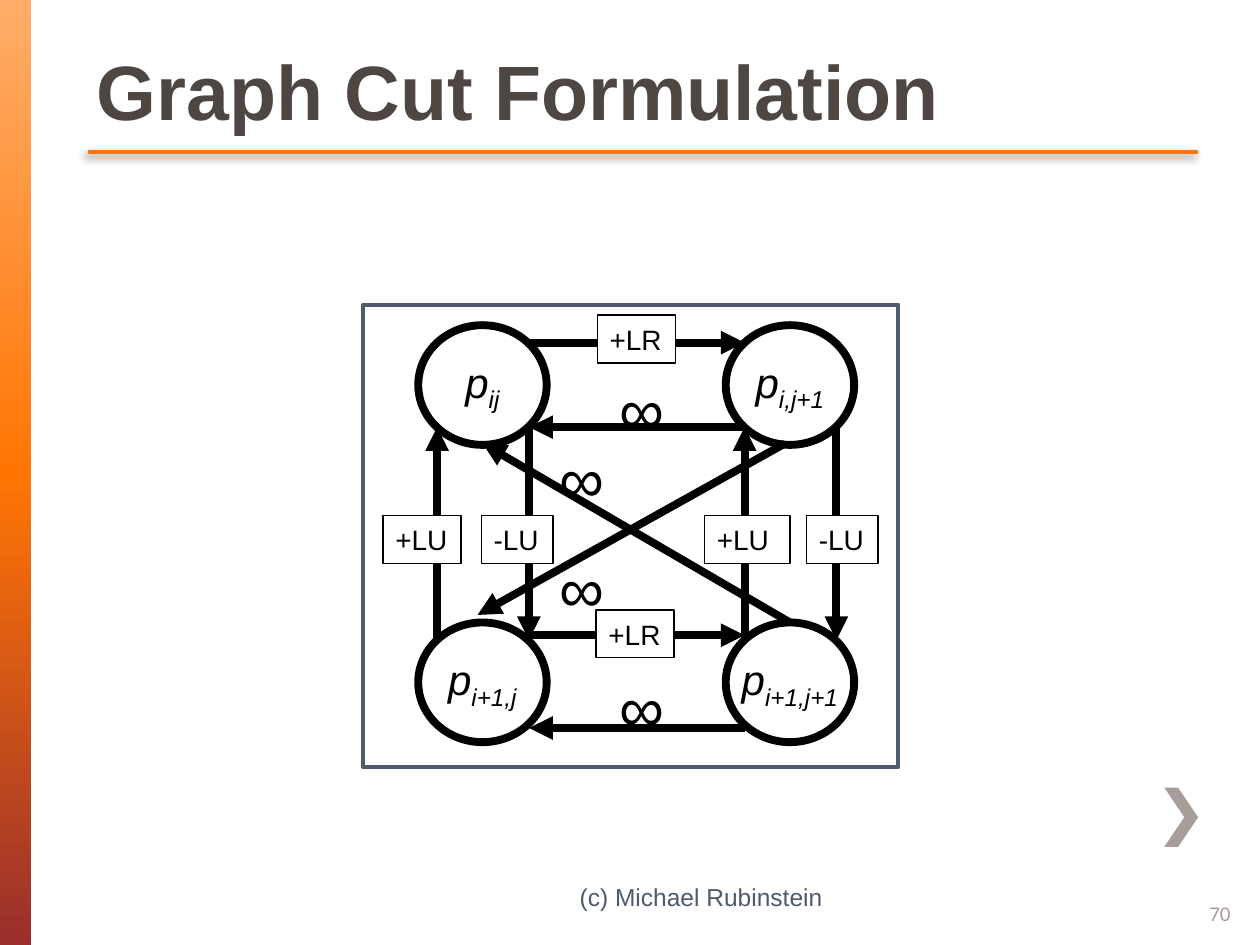
from copy import deepcopy
from lxml.etree import SubElement
from pptx import Presentation
from pptx.dml.color import RGBColor
from pptx.enum.shapes import MSO_CONNECTOR, MSO_SHAPE
from pptx.enum.text import MSO_ANCHOR, PP_ALIGN
from pptx.oxml.ns import qn
from pptx.util import Pt

BLACK = RGBColor(0x00, 0x00, 0x00)
WHITE = RGBColor(0xFF, 0xFF, 0xFF)
PEACH = RGBColor(0xFF, 0xAD, 0x69)
ORANGE = RGBColor(0xFF, 0x76, 0x05)
RUST = RGBColor(0x9A, 0x2F, 0x2C)
TAUPE = RGBColor(0xA7, 0x9D, 0x99)
BROWN = RGBColor(0x4D, 0x46, 0x43)
EDGE = RGBColor(0x67, 0x5D, 0x59)
SLATE = RGBColor(0x4D, 0x5B, 0x6B)

HEAD = {"size": Pt(44), "name": "Arial", "bold": True}
FOOT = {"size": Pt(14), "name": "Arial"}
PAGE = {"size": Pt(12), "name": "Calibri"}
NODE = {"size": Pt(24), "name": "Arial", "italic": True}
TAG = {"size": Pt(16), "name": "Arial"}
SIGN = {"size": Pt(36), "name": "Arial"}


class Painter:
    def __init__(self, slide):
        self.slide = slide
        self.shapes = slide.shapes

    def label(self, shape, text, form, color=BLACK, align=PP_ALIGN.CENTER,
              anchor=MSO_ANCHOR.MIDDLE, wrap=False):
        frame = shape.text_frame
        frame.word_wrap = wrap
        frame.vertical_anchor = anchor
        para = frame.paragraphs[0]
        para.alignment = align
        return self.piece(para, text, form, color)

    def piece(self, para, text, form, color):
        run = para.add_run()
        run.text = text
        for key, value in form.items():
            setattr(run.font, key, value)
        run.font.color.rgb = color
        return run

    def title(self, text, box):
        shape = self.shapes.title
        shape.left, shape.top, shape.width, shape.height = map(Pt, box)
        run = self.label(shape, text, HEAD, BROWN, PP_ALIGN.LEFT,
                         MSO_ANCHOR.BOTTOM, True)
        props = run.font._element
        line = SubElement(props, qn("a:ln"), w=str(Pt(1)))
        fill = SubElement(line, qn("a:solidFill"))
        SubElement(fill, qn("a:srgbClr"), val=str(EDGE))
        props.insert(0, line)

    def text(self, text, box, form, **opts):
        shape = self.shapes.add_textbox(*map(Pt, box))
        self.label(shape, text, form, **opts)

    def shape(self, kind, box, fill=None, line=None, width=0):
        shape = self.shapes.add_shape(kind, *map(Pt, box))
        self.paint(shape, fill, line, width)
        return shape

    def paint(self, shape, fill, line, width=0):
        shape.shadow.inherit = False
        for part, color in ((shape.fill, fill), (shape.line.fill, line)):
            if color is None:
                part.background()
            else:
                part.solid()
                part.fore_color.rgb = color
        if width:
            shape.line.width = Pt(width)

    def band(self, box, colors):
        fill = self.shape(MSO_SHAPE.RECTANGLE, box).fill
        fill.gradient()
        fill.gradient_angle = 270
        last = fill.gradient_stops[1]._gs
        last.addprevious(deepcopy(last))
        for place, (stop, color) in enumerate(zip(fill.gradient_stops, colors)):
            stop.position = place / 2
            stop.color.rgb = color

    def mark(self, points, fill):
        build = self.shapes.build_freeform(*map(Pt, points[0]))
        build.add_line_segments([tuple(map(Pt, spot)) for spot in points[1:]])
        self.paint(build.convert_to_shape(), fill, None)

    def line(self, start, end, color, width):
        line = self.shapes.add_connector(
            MSO_CONNECTOR.STRAIGHT, *map(Pt, start + end))
        line.line.color.rgb = color
        line.line.width = Pt(width)
        effect = SubElement(line._element.spPr, qn("a:effectLst"))
        return line, effect

    def rule(self, start, end):
        effect = self.line(start, end, ORANGE, 2.5)[1]
        shade = SubElement(effect, qn("a:outerShdw"), blurRad=str(Pt(5)),
                           dist=str(Pt(3)), dir=str(135 * 60000))
        tint = SubElement(shade, qn("a:srgbClr"), val=str(BLACK))
        SubElement(tint, qn("a:alpha"), val="45000")

    def arrow(self, start, end):
        line = self.line(start, end, BLACK, 4.5)[0]
        stroke = line._element.spPr.find(qn("a:ln"))
        SubElement(stroke, qn("a:tailEnd"), type="triangle")

    def node(self, sub, left, top):
        shape = self.shape(MSO_SHAPE.OVAL, (left, top, 73.4, 68.4),
                           None, BLACK, 4.5)
        self.label(shape, "p", NODE)
        run = self.piece(shape.text_frame.paragraphs[0], sub, NODE, BLACK)
        run.font._element.set("baseline", "-25000")

    def tag(self, text, left, top, width):
        shape = self.shape(MSO_SHAPE.RECTANGLE, (left, top, width, 27.4),
                           WHITE, BLACK, 0.75)
        self.label(shape, text, TAG, align=PP_ALIGN.LEFT)


def main():
    deck = Presentation()
    deck.slide_width, deck.slide_height = Pt(720), Pt(540)
    art = Painter(deck.slides.add_slide(deck.slide_layouts[5]))

    art.band((0, 0, 18, 540), (PEACH, ORANGE, RUST))
    art.mark([(673.2, 450), (665.3, 450), (676.8, 467), (665.3, 484),
              (673.2, 484), (684.7, 467)], TAUPE)
    art.rule((50.4, 87), (684.7, 87))
    art.title("Graph Cut Formulation", (48.2, 0, 634.3, 81.4))
    art.text("70", (684, 507, 30, 29), PAGE, color=TAUPE, align=PP_ALIGN.LEFT)
    art.text("(c) Michael Rubinstein", (322.6, 500.4, 156.2, 23.8), FOOT,
             color=SLATE, anchor=MSO_ANCHOR.BOTTOM)
    art.shape(MSO_SHAPE.RECTANGLE, (207.4, 174.2, 306, 264.2),
              WHITE, SLATE, 2.25)

    left, right, top, low = 239, 414.7, 185.8, 355.7
    for sub, x, y in (("ij", left, top), ("i,j+1", right, top),
                      ("i+1,j", left, low), ("i+1,j+1", right, low)):
        art.node(sub, x, y)

    for x in (left, right):
        art.arrow((x + 10.8, 365.8), (x + 10.8, 244.1))
        art.arrow((x + 63.2, 244.1), (x + 63.2, 365.8))
    for out, back in ((195.8, 244.1), (363, 416)):
        art.arrow((302.4, out), (425.5, out))
        art.arrow((425.5, back), (302.4, back))
    art.arrow((448.6, 253.4), (272.9, 351.4))
    art.arrow((451.4, 355.7), (275.8, 253.4))

    for x, y in ((347, 208), (347, 378.7), (312.8, 310.3), (312.8, 247.7)):
        art.text("∞", (x, y, 39.6, 50.4), SIGN, anchor=MSO_ANCHOR.TOP)
    for text, x, y, width in (
            ("-LU", 275, 294.5, 41), ("-LU", 460.8, 294.5, 41),
            ("+LU", 218.9, 294.5, 44.6), ("+LU", 402.5, 294.5, 49),
            ("+LR", 341.3, 180, 44.6), ("+LR", 340.6, 348.5, 44.6)):
        art.tag(text, x, y, width)

    deck.save("out.pptx")


if __name__ == "__main__":
    main()
